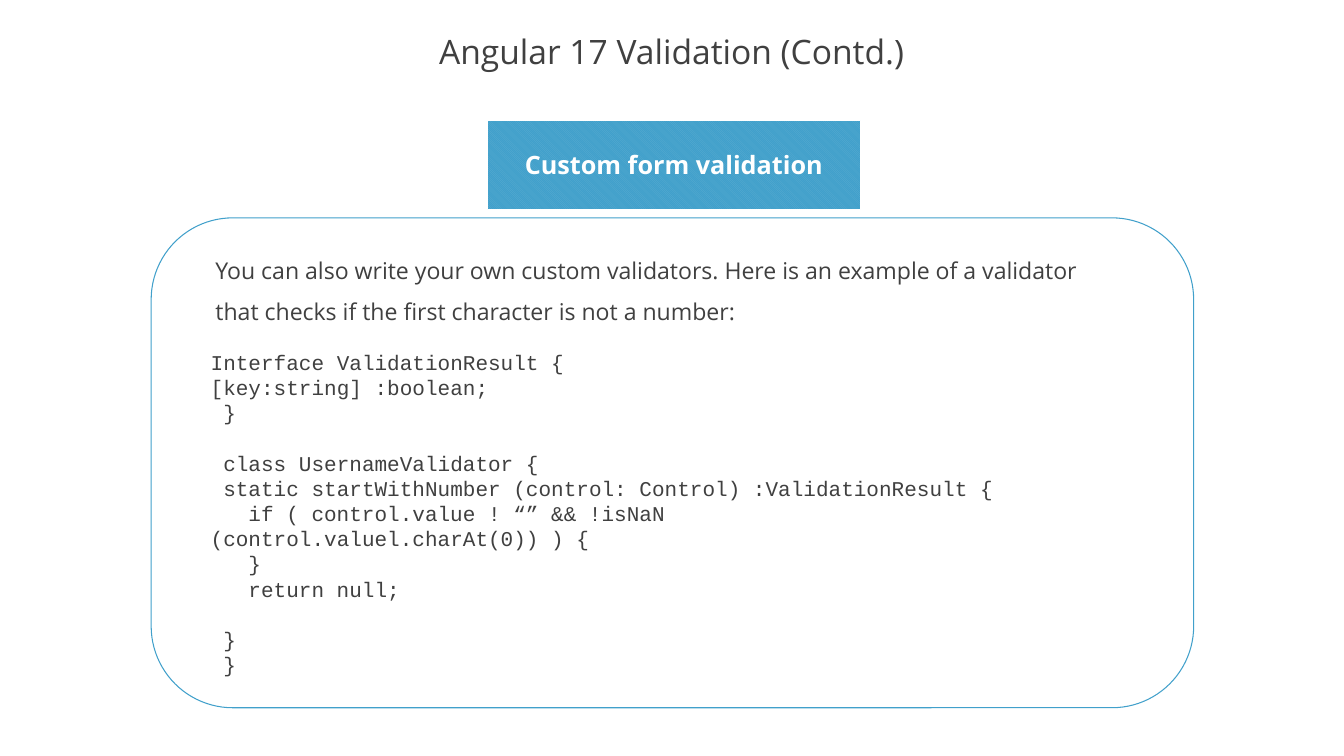
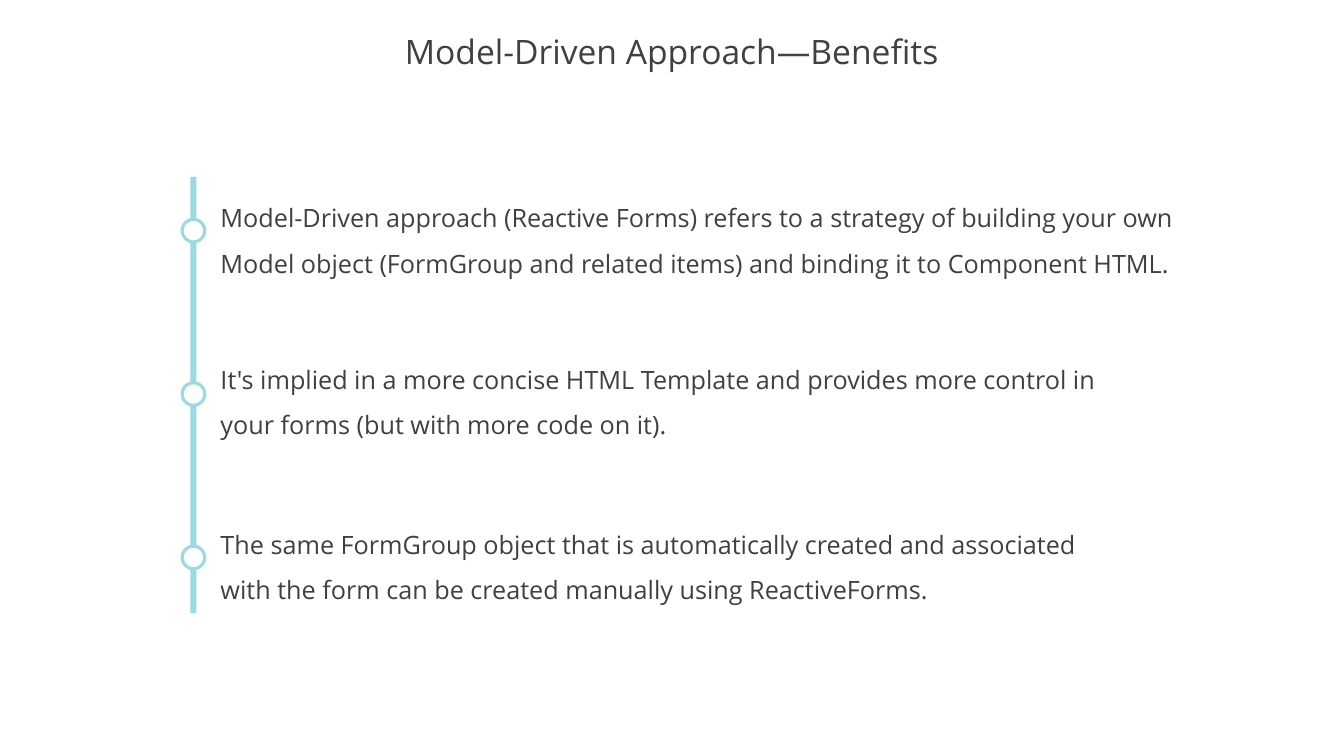
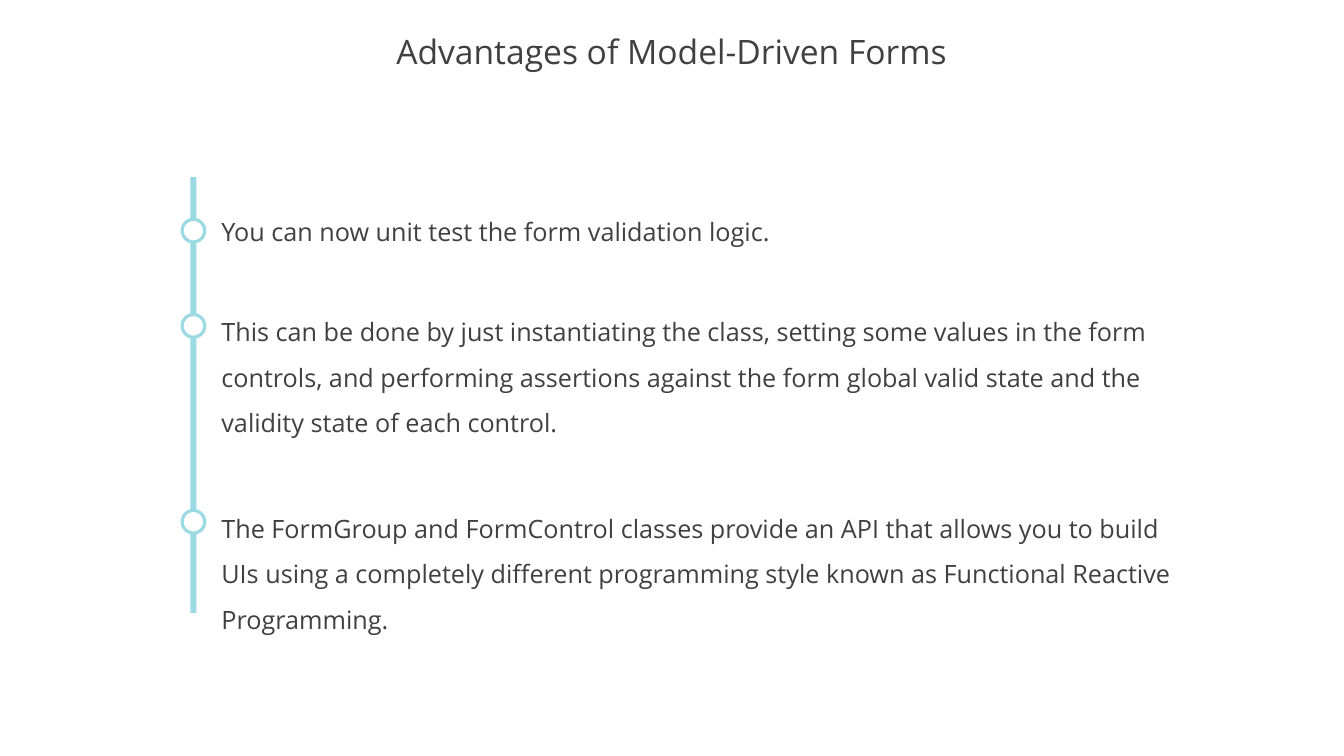
from pptx import Presentation
from pptx.dml.color import RGBColor
from pptx.enum.dml import MSO_PATTERN
from pptx.enum.shapes import MSO_SHAPE as Shape
from pptx.enum.text import MSO_ANCHOR as Anchor, MSO_AUTO_SIZE as AutoSize, PP_ALIGN as Align
from pptx.util import Cm, Pt

INK = RGBColor(0x40, 0x40, 0x40)
WHITE = RGBColor(0xFF, 0xFF, 0xFF)
BLUE = RGBColor(0x41, 0xA0, 0xCB)
LIGHT_BLUE = RGBColor(0x5C, 0xAD, 0xD2)
AQUA = RGBColor(0x9B, 0xDA, 0xE3)

BODY_FONT = "Open Sans"
CODE_FONT = "Courier New"
SLIDE_WIDTH, SLIDE_HEIGHT = Cm(45.16), Cm(25.4)
RAIL_CENTRE = 6.5
RAIL_WIDTH = 0.2
DOT_SIZE = 0.76

VALIDATOR_CODE = """Interface ValidationResult {
[key:string] :boolean;
 }

 class UsernameValidator {
 static startWithNumber (control: Control) :ValidationResult {
\tif ( control.value ! “” && !isNaN (control.valuel.charAt(0)) ) {
\t}
\treturn null;

 }
 }"""


class Deck:
    """Holds the shared style and the slide being built; lengths are in centimetres."""

    def __init__(self):
        self.prs = Presentation()
        self.prs.slide_width, self.prs.slide_height = SLIDE_WIDTH, SLIDE_HEIGHT
        self.slide = None

    def new_slide(self, title):
        self.slide = self.prs.slides.add_slide(self.prs.slide_layouts[6])
        heading = self.text(title, 0, 0.89, SLIDE_WIDTH.cm, 1.85, size=32, spacing=0.9)
        heading.auto_size = AutoSize.NONE
        heading.vertical_anchor = Anchor.MIDDLE
        heading.paragraphs[0].alignment = Align.CENTER

    def style(self, paragraph, size, font=BODY_FONT, color=INK, bold=False):
        for run in paragraph.runs:
            run.font.name, run.font.size = font, Pt(size)
            run.font.color.rgb, run.font.bold = color, bold

    def text(self, words, left, top, width, height, size=24, spacing=1.5):
        box = self.slide.shapes.add_textbox(Cm(left), Cm(top), Cm(width), Cm(height))
        frame = box.text_frame
        frame.word_wrap = True
        frame.auto_size = AutoSize.SHAPE_TO_FIT_TEXT
        frame.text = words
        frame.paragraphs[0].line_spacing = spacing
        self.style(frame.paragraphs[0], size)
        return frame

    def code(self, source, left, top, width, height, size=20):
        """Sets one paragraph per code line; a blank line becomes space above the next."""
        box = self.slide.shapes.add_textbox(Cm(left), Cm(top), Cm(width), Cm(height))
        frame = box.text_frame
        frame.word_wrap = True
        frame.auto_size = AutoSize.SHAPE_TO_FIT_TEXT
        for number, block in enumerate(source.split("\n\n")):
            for row, line in enumerate(block.split("\n")):
                first = number == row == 0
                paragraph = frame.paragraphs[0] if first else frame.add_paragraph()
                paragraph.text = line
                if number and row == 0:
                    paragraph.space_before = Pt(24)
                self.style(paragraph, size, CODE_FONT)

    def shape(self, kind, left, top, width, height, fill=None, line=None, weight=1):
        shape = self.slide.shapes.add_shape(kind, Cm(left), Cm(top), Cm(width), Cm(height))
        shape.shadow.inherit = False
        if fill is None:
            shape.fill.background()
        else:
            shape.fill.solid()
            shape.fill.fore_color.rgb = fill
        if line is None:
            shape.line.fill.background()
        else:
            shape.line.color.rgb, shape.line.width = line, Pt(weight)
        return shape

    def banner(self, words, left, top, width, height):
        banner = self.shape(Shape.RECTANGLE, left, top, width, height, line=WHITE)
        banner.fill.patterned()
        banner.fill.pattern = MSO_PATTERN.LIGHT_DOWNWARD_DIAGONAL
        banner.fill.fore_color.rgb, banner.fill.back_color.rgb = LIGHT_BLUE, BLUE
        frame = banner.text_frame
        frame.text = words
        frame.vertical_anchor = Anchor.MIDDLE
        frame.paragraphs[0].alignment = Align.CENTER
        self.style(frame.paragraphs[0], 24, color=WHITE, bold=True)

    def timeline(self, milestones, text_left):
        """Draws the rail, then each (dot top, text top, text width, text height, words)."""
        self.shape(Shape.RECTANGLE, RAIL_CENTRE - RAIL_WIDTH / 2, 5.94, RAIL_WIDTH, 14.66, AQUA)
        for dot_top, text_top, width, height, words in milestones:
            self.shape(Shape.OVAL, RAIL_CENTRE - DOT_SIZE / 2, dot_top, DOT_SIZE, DOT_SIZE,
                       WHITE, AQUA, 3)
            self.text(words, text_left, text_top, width, height)


def custom_validation(deck):
    deck.new_slide("Angular 17 Validation (Contd.)")
    deck.shape(Shape.ROUNDED_RECTANGLE, 5.08, 7.32, 35.03, 16.46, line=BLUE)
    deck.banner("Custom form validation", 16.38, 4.04, 12.52, 3)
    deck.text("You can also write your own custom validators. Here is an example of a validator "
              "that checks if the first character is not a number:",
              6.99, 8.01, 29.77, 2.95, size=22)
    deck.code(VALIDATOR_CODE, 6.83, 11.61, 27.66, 11.38)


def approach_benefits(deck):
    deck.new_slide("Model-Driven Approach—Benefits")
    benefits = [
        (6.17, 33.02, "Model-Driven approach (Reactive Forms) refers to a strategy of building your "
                      "own Model object (FormGroup and related items) and binding it to Component "
                      "HTML."),
        (11.61, 29.9, "It's implied in a more concise HTML Template and provides more control in "
                      "your forms (but with more code on it)."),
        (17.15, 31.01, "The same FormGroup object that is automatically created and associated "
                       "with the form can be created manually using ReactiveForms."),
    ]
    deck.timeline([(7.37 + 5.49 * step, top, width, 3.3, words)
                   for step, (top, width, words) in enumerate(benefits)], text_left=7.16)


def form_advantages(deck):
    deck.new_slide("Advantages of Model-Driven Forms")
    deck.timeline([
        (7.37, 6.63, 32, 1.63, "You can now unit test the form validation logic."),
        (10.57, 10.01, 32, 4.88,
         "This can be done by just instantiating the class, setting some values in the form "
         "controls, and performing assertions against the form global valid state and the "
         "validity state of each control."),
        (17.15, 16.61, 32.54, 4.88,
         "The FormGroup and FormControl classes provide an API that allows you to build UIs "
         "using a completely different programming style known as Functional Reactive "
         "Programming."),
    ], text_left=7.19)


def main():
    deck = Deck()
    custom_validation(deck)
    approach_benefits(deck)
    form_advantages(deck)
    deck.prs.save("out.pptx")


if __name__ == "__main__":
    main()
